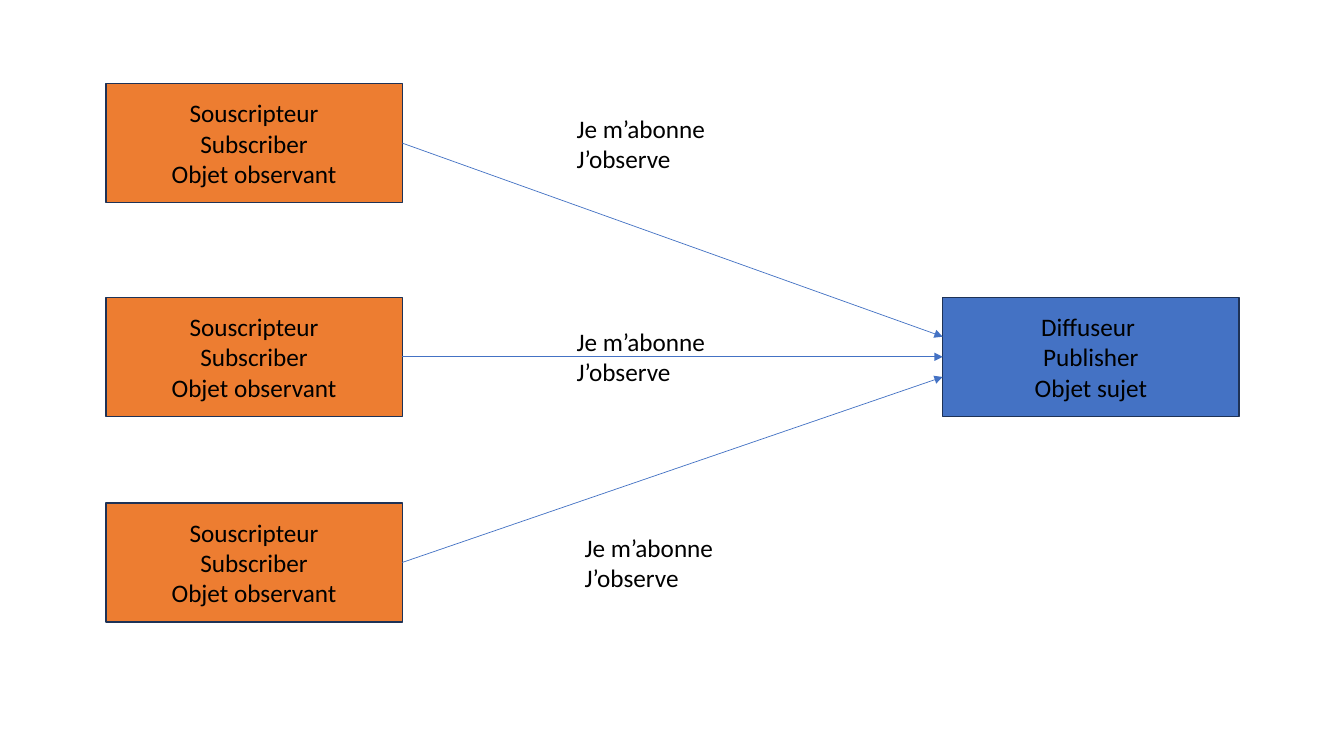
"""Draw three subscribers observing one publisher."""
from dataclasses import dataclass

import lxml.etree
import pptx
import pptx.dml.color
import pptx.enum.shapes
import pptx.enum.text
import pptx.oxml.ns
import pptx.shapes.autoshape
import pptx.slide
import pptx.text.text
import pptx.util

Inches = pptx.util.Inches
COLORS = {"subscriber": "ED7D31", "publisher": "4472C4", "border": "1E3256",
          "arrow": "4472C4", "text": "000000"}
BOX_W, BOX_H = 2.94, 1.18
SUBSCRIBER_X, PUBLISHER_X, PUBLISHER_Y = 1.05, 9.35, 2.95
LABEL_W, LABEL_H, LABEL_DROP = 2.09, 0.71, 0.24
SUBSCRIBER_LINES = ("Souscripteur", "Subscriber", "Objet observant")
PUBLISHER_LINES = ("Diffuseur ", "Publisher", "Objet sujet")
LABEL_LINES = ("Je m’abonne", "J’observe")


@dataclass(frozen=True)
class Subscriber:
    top: float
    label_left: float
    arrow_offset: float


SUBSCRIBERS = (
    Subscriber(0.83, 5.62, -0.2),
    Subscriber(2.95, 5.62, 0),
    Subscriber(4.99, 5.7, 0.2),
)


def rgb(name: str) -> pptx.dml.color.RGBColor:
    return pptx.dml.color.RGBColor.from_string(COLORS[name])


def write_lines(tf: pptx.text.text.TextFrame, lines: tuple[str, ...],
                align: pptx.enum.text.PP_ALIGN) -> None:
    tf.word_wrap = True
    for i, line in enumerate(lines):
        p = tf.add_paragraph() if i else tf.paragraphs[0]
        p.alignment = align
        r = p.add_run()
        r.text = line
        r.font.size = pptx.util.Pt(18)
        r.font.name = "Calibri"
        r.font.color.rgb = rgb("text")


def add_box(slide: pptx.slide.Slide, left: float, top: float, fill: str,
            lines: tuple[str, ...]) -> pptx.shapes.autoshape.Shape:
    sp = slide.shapes.add_shape(
        pptx.enum.shapes.MSO_SHAPE.RECTANGLE,
        Inches(left), Inches(top), Inches(BOX_W), Inches(BOX_H))
    sp.shadow.inherit = False
    sp.fill.solid()
    sp.fill.fore_color.rgb = rgb(fill)
    sp.line.color.rgb = rgb("border")
    sp.line.width = pptx.util.Pt(1)
    sp.text_frame.vertical_anchor = pptx.enum.text.MSO_ANCHOR.MIDDLE
    write_lines(sp.text_frame, lines, pptx.enum.text.PP_ALIGN.CENTER)
    return sp


def add_arrow(slide: pptx.slide.Slide, box: pptx.shapes.autoshape.Shape,
              publisher: pptx.shapes.autoshape.Shape, offset: float) -> None:
    end_y = publisher.top + publisher.height // 2 + Inches(offset)
    cxn = slide.shapes.add_connector(
        pptx.enum.shapes.MSO_CONNECTOR.STRAIGHT,
        box.left + box.width, box.top + box.height // 2, publisher.left, end_y)
    cxn.begin_connect(box, 3)
    if offset == 0:
        cxn.end_connect(publisher, 1)
    cxn.line.color.rgb = rgb("arrow")
    cxn.line.width = pptx.util.Pt(0.5)
    qn = pptx.oxml.ns.qn
    lxml.etree.SubElement(cxn.line._get_or_add_ln(), qn("a:tailEnd"), type="triangle")
    lxml.etree.SubElement(cxn._element.spPr, qn("a:effectLst"))


def add_label(slide: pptx.slide.Slide, left: float, top: float) -> None:
    tb = slide.shapes.add_textbox(
        Inches(left), Inches(top), Inches(LABEL_W), Inches(LABEL_H))
    write_lines(tb.text_frame, LABEL_LINES, pptx.enum.text.PP_ALIGN.LEFT)


def main() -> None:
    prs = pptx.Presentation()
    prs.slide_width, prs.slide_height = Inches(13.33), Inches(7.5)
    slide = prs.slides.add_slide(prs.slide_layouts[6])
    publisher = add_box(slide, PUBLISHER_X, PUBLISHER_Y, "publisher", PUBLISHER_LINES)
    for sub in SUBSCRIBERS:
        box = add_box(slide, SUBSCRIBER_X, sub.top, "subscriber", SUBSCRIBER_LINES)
        add_arrow(slide, box, publisher, sub.arrow_offset)
        add_label(slide, sub.label_left, sub.top + LABEL_DROP)
    prs.save("out.pptx")


if __name__ == "__main__":
    main()
